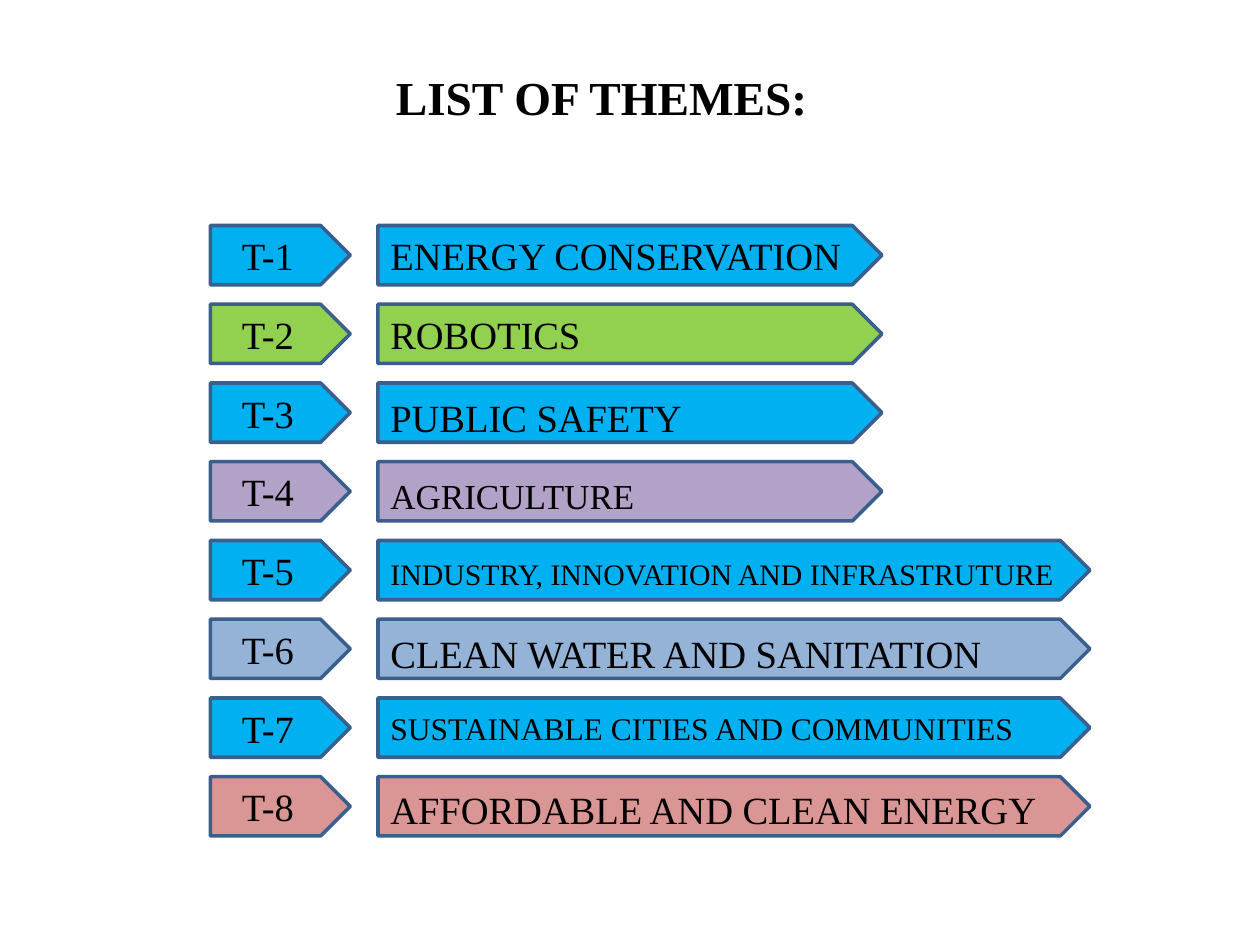
import pptx
import pptx.dml.color
import pptx.enum.shapes
import pptx.enum.text
import pptx.util

Inches = pptx.util.Inches
ALIGN = pptx.enum.text.PP_ALIGN

GRID_TOP, ROW_STEP, ARROW_HEIGHT = 1.79, 0.625, 0.47
CODE_LEFT, CODE_WIDTH = 1.67, 1.11
THEME_LEFT, SHORT_WIDTH, LONG_WIDTH = 3, 4, 5.65
OUTLINE = "3A5F8C"
BLUE, GREEN, PURPLE, STEEL, ROSE = "00B0F0", "92D050", "B3A2C7", "95B3D7", "D99694"

THEMES = [
    ("ENERGY CONSERVATION", BLUE, SHORT_WIDTH, 22, 1),
    ("ROBOTICS", GREEN, SHORT_WIDTH, 22, 1),
    ("PUBLIC SAFETY", BLUE, SHORT_WIDTH, 22, 1.2),
    ("AGRICULTURE", PURPLE, SHORT_WIDTH, 20, 1.2),
    ("INDUSTRY, INNOVATION AND INFRASTRUTURE", BLUE, LONG_WIDTH, 17, 1.2),
    ("CLEAN WATER AND SANITATION", STEEL, LONG_WIDTH, 22, 1.2),
    ("SUSTAINABLE CITIES AND COMMUNITIES", BLUE, LONG_WIDTH, 18, 1),
    ("AFFORDABLE AND CLEAN ENERGY", ROSE, LONG_WIDTH, 22, 1.1),
]


def color(hex_value):
    """Return the colour for a hex string."""
    return pptx.dml.color.RGBColor.from_string(hex_value)


def apply(target, values):
    """Set each attribute in a dict of format values."""
    for name, value in values.items():
        setattr(target, name, value)


def write(frame, wording, size, align, right_inset=0.1, spacing=1, bold=False):
    """Put one formatted line of text in a frame."""
    apply(frame, {
        "word_wrap": True,
        "vertical_anchor": pptx.enum.text.MSO_ANCHOR.MIDDLE,
        "margin_right": Inches(right_inset),
    })
    line = frame.paragraphs[0]
    apply(line, {"text": wording, "alignment": align, "line_spacing": float(spacing)})
    font = line.runs[0].font
    apply(font, {"name": "Times New Roman", "size": pptx.util.Pt(size), "bold": bold})
    font.color.rgb = color("000000")


def add_heading(slide, wording):
    """Add the bold heading above the list."""
    heading = slide.shapes.add_textbox(
        Inches(0.91), Inches(0.23), Inches(7.92), Inches(1.08))
    write(heading.text_frame, wording, 27, ALIGN.CENTER, right_inset=0.29, bold=True)


def add_arrow(slide, row, left, width, fill):
    """Add a pentagon arrow on a grid row and return its text frame."""
    arrow = slide.shapes.add_shape(
        pptx.enum.shapes.MSO_SHAPE.PENTAGON, Inches(left),
        Inches(GRID_TOP + row * ROW_STEP), Inches(width), Inches(ARROW_HEIGHT))
    arrow.shadow.inherit = False
    arrow.fill.solid()
    arrow.fill.fore_color.rgb = color(fill)
    arrow.line.color.rgb = color(OUTLINE)
    arrow.line.width = pptx.util.Pt(2)
    return arrow.text_frame


def add_theme(slide, row, wording, fill, width, size, spacing):
    """Add the code arrow and the name arrow of one theme."""
    code = add_arrow(slide, row, CODE_LEFT, CODE_WIDTH, fill)
    write(code, f"T-{row + 1}", 22, ALIGN.CENTER, right_inset=0.18)
    name = add_arrow(slide, row, THEME_LEFT, width, fill)
    write(name, wording, size, ALIGN.LEFT, spacing=spacing)


def main():
    """Build the list of themes and save it."""
    deck = pptx.Presentation()
    apply(deck, {"slide_width": Inches(10), "slide_height": Inches(7.5)})
    slide = deck.slides.add_slide(deck.slide_layouts[6])
    add_heading(slide, "LIST OF THEMES:")
    for row, theme in enumerate(THEMES):
        add_theme(slide, row, *theme)
    deck.save("out.pptx")


if __name__ == "__main__":
    main()
